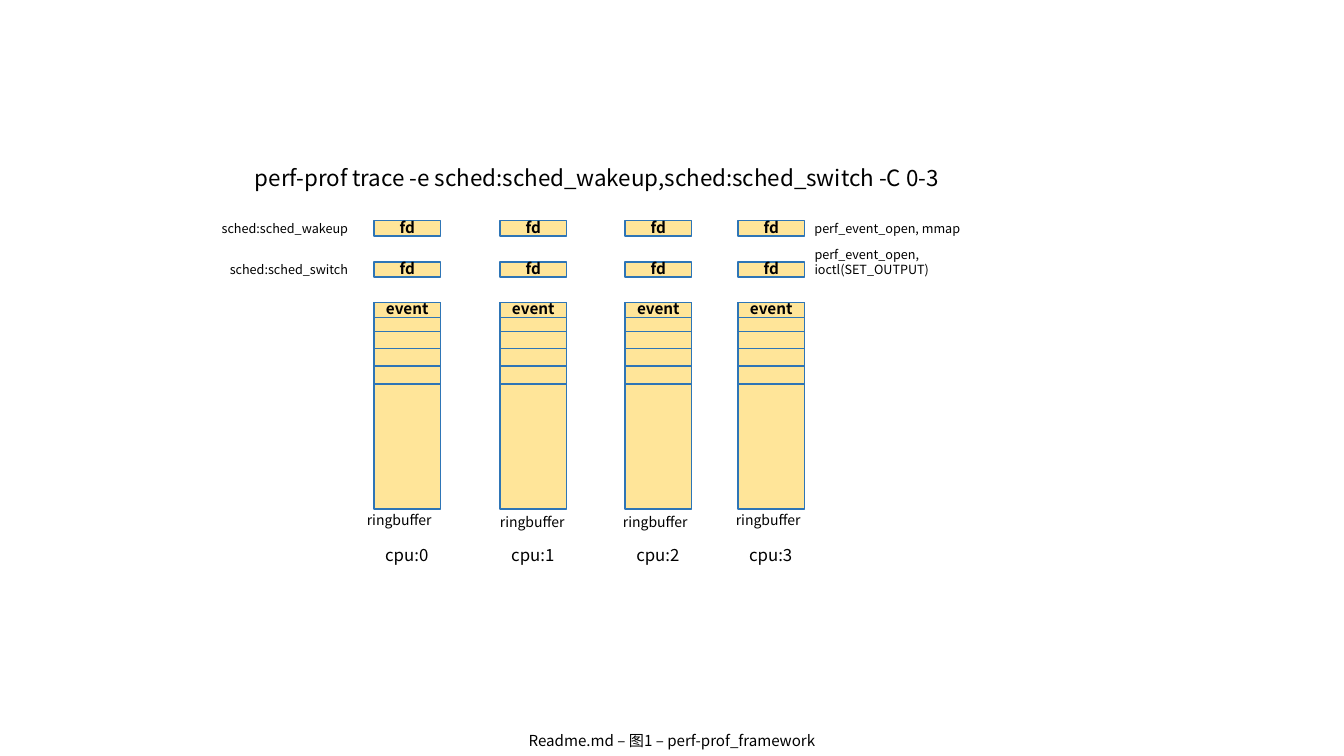
from lxml import etree
from pptx import Presentation
from pptx.dml.color import RGBColor
from pptx.enum.shapes import MSO_CONNECTOR, MSO_SHAPE
from pptx.enum.text import MSO_ANCHOR, MSO_AUTO_SIZE, PP_ALIGN
from pptx.oxml.ns import qn
from pptx.util import Inches, Pt

COLORS = {"fill": "FFE599", "line": "2E75B6", "text": "000000"}
FONT = "Noto Sans CJK SC"
LEFT, CENTER, RIGHT = PP_ALIGN.LEFT, PP_ALIGN.CENTER, PP_ALIGN.RIGHT


def write(sp, text, size, align=LEFT, anchor=MSO_ANCHOR.TOP, spacing=None, bold=False):
    tf = sp.text_frame
    tf.text = text
    tf.word_wrap = True
    tf.auto_size = MSO_AUTO_SIZE.NONE
    tf.vertical_anchor = anchor
    p = tf.paragraphs[0]
    p.alignment = align
    if spacing:
        p.line_spacing = spacing
    font = p.runs[0].font
    font.name, font.size, font.bold = FONT, Pt(size), bold
    font.color.rgb = RGBColor.from_string(COLORS["text"])
    etree.SubElement(p.runs[0]._r.rPr, qn("a:ea")).set("typeface", FONT)
    return tf


def add_bar(shapes, x, y, h, label=None):
    sp = shapes.add_shape(MSO_SHAPE.RECTANGLE, Inches(x), Inches(y), Inches(0.66), Inches(h))
    sp.shadow.inherit = False
    sp.fill.solid()
    sp.fill.fore_color.rgb = RGBColor.from_string(COLORS["fill"])
    sp.line.color.rgb = RGBColor.from_string(COLORS["line"])
    sp.line.width = Pt(1)
    if label:
        write(sp, label, 10.9, CENTER, spacing=0.5, bold=True)


prs = Presentation()
prs.slide_width, prs.slide_height = Inches(13.33), Inches(7.5)
s = prs.slides.add_slide(prs.slide_layouts[5])

title = s.shapes.title
title.left, title.top = Inches(0), Inches(7.22)
title.width, title.height = Inches(13.33), Inches(0.28)
write(title, "Readme.md – 图1 – perf-prof_framework", 10.8, CENTER, MSO_ANCHOR.MIDDLE, 0.9)

command = s.shapes.add_textbox(Inches(2.43), Inches(1.58), Inches(7.5), Inches(0.37))
tf = write(command, "perf-prof trace -e sched:sched_wakeup,sched:sched_switch -C 0-3", 16)
tf.auto_size = MSO_AUTO_SIZE.SHAPE_TO_FIT_TEXT

columns = [(3.71, 3.54, 5.03), (4.96, 4.86, 5.05), (6.2, 6.08, 5.05), (7.32, 7.2, 5.03)]
for cpu, (x, caption_x, caption_y) in enumerate(columns):
    ring = s.shapes.add_group_shape().shapes
    add_bar(ring, x, 3, 2.05)
    for y in (3.29, 3.46, 3.63, 3.81, 3.15):
        line = ring.add_connector(MSO_CONNECTOR.STRAIGHT, Inches(x), Inches(y),
                                  Inches(x + 0.66), Inches(y))
        line.line.color.rgb = RGBColor.from_string(COLORS["line"])
        line.line.width = Pt(1)
        etree.SubElement(line._element.spPr, qn("a:effectLst"))
    add_bar(ring, x, 3, 0.15, "event")

    for y in (2.19, 2.6):
        add_bar(s.shapes, x, y, 0.15, "fd")

    caption = s.shapes.add_textbox(Inches(caption_x), Inches(caption_y), Inches(0.87), Inches(0.27))
    tf = write(caption, "ringbuffer", 10)
    tf.word_wrap = False
    tf.auto_size = MSO_AUTO_SIZE.SHAPE_TO_FIT_TEXT

    cpu_label = s.shapes.add_textbox(Inches(x - 0.01), Inches(5.36), Inches(0.67), Inches(0.3))
    write(cpu_label, f"cpu:{cpu}", 12, CENTER)

row_labels = [
    ("sched:sched_wakeup", 2.08, 2.11, 1.47, RIGHT),
    ("sched:sched_switch", 2.08, 2.52, 1.47, RIGHT),
    ("perf_event_open, mmap", 7.98, 2.11, 1.8, LEFT),
    ("perf_event_open, ioctl(SET_OUTPUT)", 7.98, 2.52, 2.35, LEFT),
]
for text, x, y, w, align in row_labels:
    label = s.shapes.add_textbox(Inches(x), Inches(y), Inches(w), Inches(0.23))
    tf = write(label, text, 9, align, MSO_ANCHOR.BOTTOM)
    tf.margin_bottom = Inches(0)

prs.save("out.pptx")
